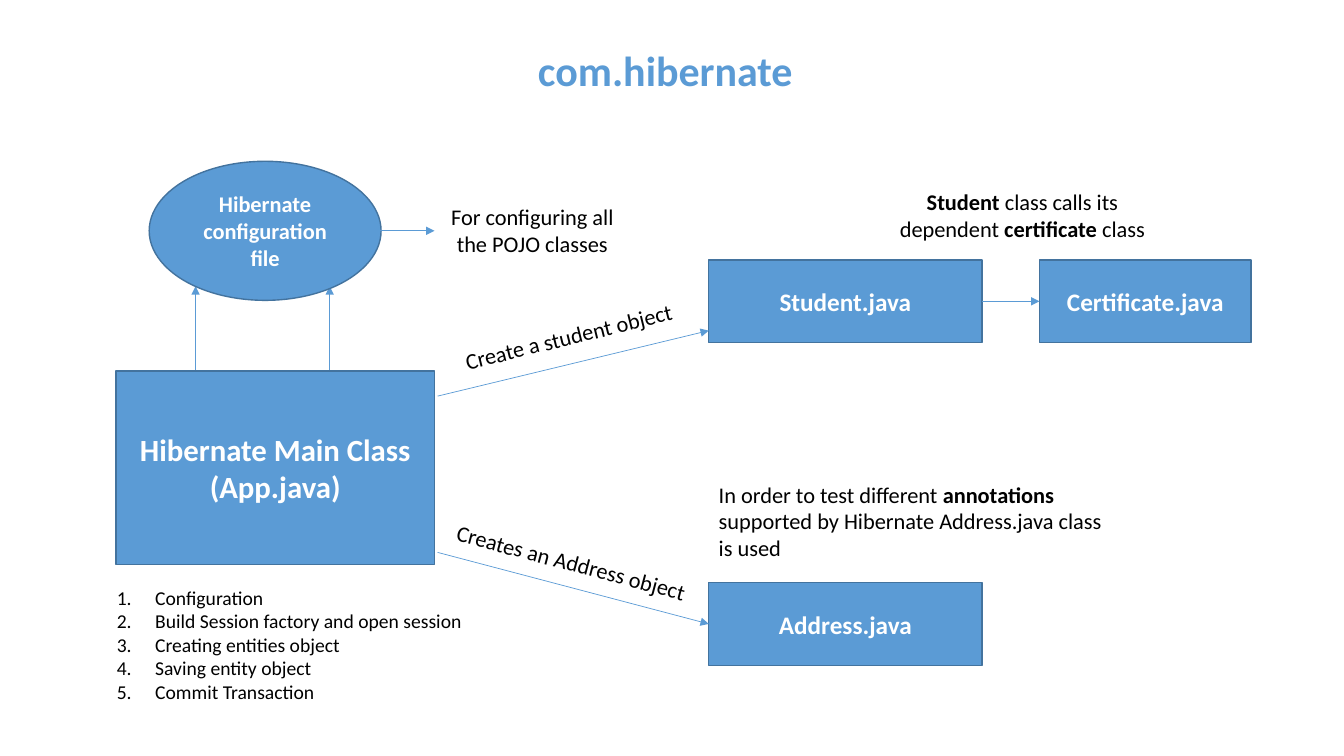
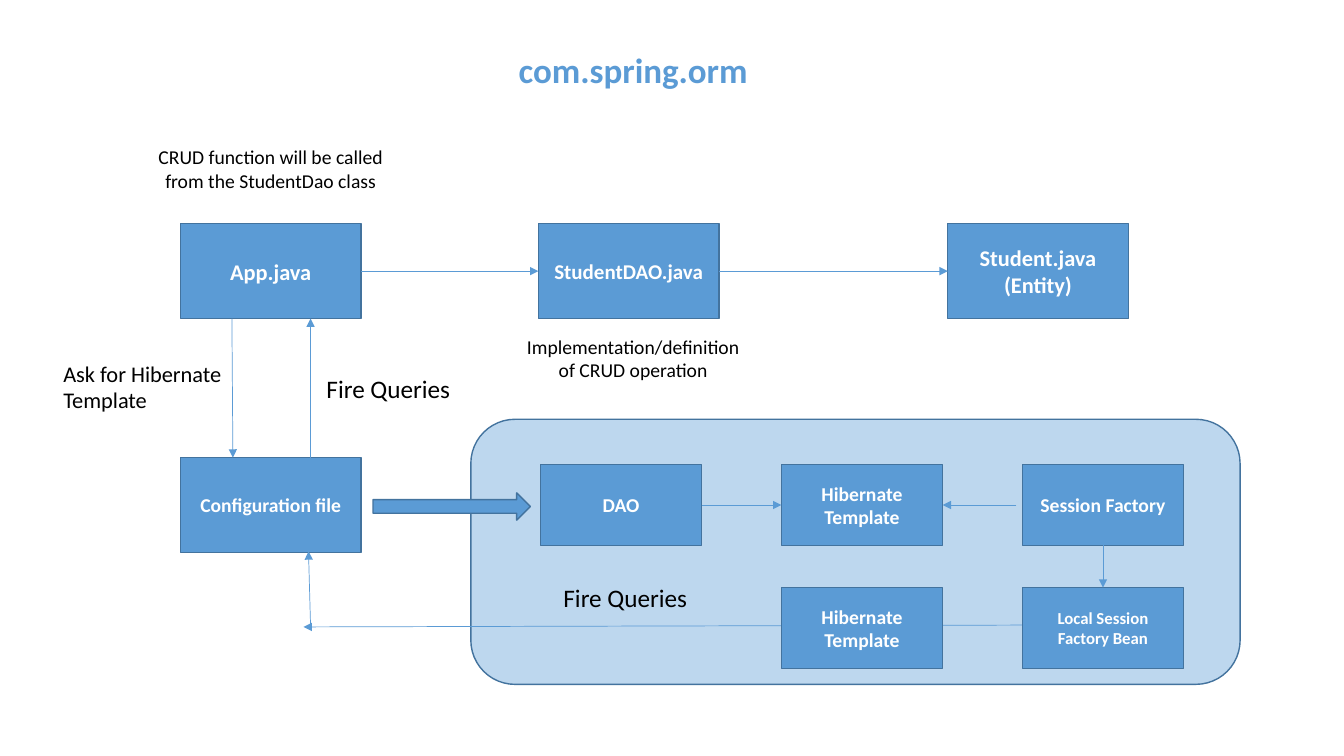
from collections import namedtuple
from dataclasses import dataclass

from lxml.etree import SubElement
from pptx import Presentation
from pptx.dml.color import RGBColor
from pptx.enum.shapes import MSO_CONNECTOR, MSO_SHAPE
from pptx.enum.text import MSO_ANCHOR, MSO_AUTO_SIZE, PP_ALIGN
from pptx.oxml.ns import qn
from pptx.util import Inches, Pt

BLUE = RGBColor(0x5B, 0x9B, 0xD5)
DARK_BLUE = RGBColor(0x43, 0x73, 0x9E)
PALE_BLUE = RGBColor(0xBD, 0xD7, 0xEE)
WHITE = RGBColor(0xFF, 0xFF, 0xFF)
BLACK = RGBColor(0x00, 0x00, 0x00)
FONT = "Calibri"
CELL = Inches(0.1)
TOP, LEFT, BOTTOM, RIGHT = range(4)

Joint = namedtuple("Joint", "shape side")
Point = namedtuple("Point", "x y")


@dataclass
class Box:
    """A rectangle measured in grid cells of a tenth of an inch."""

    left: float
    top: float
    width: float
    height: float

    def inner(self, left, top, width, height):
        """Return a box placed relative to this one."""
        return Box(self.left + left, self.top + top, width, height)

    def point(self, x, y):
        """Return a point placed relative to this box."""
        return Point(round((self.left + x) * CELL), round((self.top + y) * CELL))

    def frame(self):
        """Return left, top, width and height as lengths."""
        return [round(cells * CELL) for cells in (self.left, self.top, self.width, self.height)]


def style_font(paragraph, size, color, bold=None):
    """Set the font of a whole paragraph."""
    font = paragraph.font
    font.name, font.size, font.bold = FONT, Pt(size), bold
    font.color.rgb = color


def add_title(slide, text, size, box):
    """Place and format the title placeholder."""
    title = slide.shapes.title
    title.left, title.top, title.width, title.height = box.frame()
    frame = title.text_frame
    frame.text = text
    frame.auto_size = MSO_AUTO_SIZE.NONE
    frame.vertical_anchor = MSO_ANCHOR.MIDDLE
    paragraph = frame.paragraphs[0]
    paragraph.alignment = PP_ALIGN.CENTER
    paragraph.line_spacing = 0.9
    style_font(paragraph, size, BLUE, True)


def add_node(slide, box, text="", size=14, kind=MSO_SHAPE.RECTANGLE, fill=BLUE):
    """Add an outlined shape with centred bold text."""
    shape = slide.shapes.add_shape(kind, *box.frame())
    shape.shadow.inherit = False
    shape.fill.solid()
    shape.fill.fore_color.rgb = fill
    shape.line.color.rgb = DARK_BLUE
    shape.line.width = Pt(1)
    if text:
        frame = shape.text_frame
        frame.text = text
        frame.word_wrap = True
        frame.vertical_anchor = MSO_ANCHOR.MIDDLE
        for paragraph in frame.paragraphs:
            paragraph.alignment = PP_ALIGN.CENTER
            style_font(paragraph, size, WHITE, True)
    return shape


def add_note(slide, box, runs, size=16, align=PP_ALIGN.LEFT, wrap=True, rotation=0):
    """Add a one-paragraph text box from (text, bold) runs."""
    shape = slide.shapes.add_textbox(*box.frame())
    shape.rotation = rotation
    frame = shape.text_frame
    frame.word_wrap = wrap
    frame.auto_size = MSO_AUTO_SIZE.SHAPE_TO_FIT_TEXT
    paragraph = frame.paragraphs[0]
    paragraph.alignment = align
    style_font(paragraph, size, BLACK)
    for text, bold in runs:
        run = paragraph.add_run()
        run.text = text
        if bold:
            run.font.bold = True


def add_numbered_list(slide, box, items, size):
    """Add a text box with automatic numbers."""
    frame = slide.shapes.add_textbox(*box.frame()).text_frame
    frame.word_wrap = False
    frame.auto_size = MSO_AUTO_SIZE.SHAPE_TO_FIT_TEXT
    frame.text = "\n".join(items)
    for paragraph in frame.paragraphs:
        properties = paragraph._p.get_or_add_pPr()
        properties.set("marL", str(Inches(0.38)))
        properties.set("indent", str(-Inches(0.38)))
        SubElement(properties, qn("a:buFont"), typeface="+mj-lt")
        SubElement(properties, qn("a:buAutoNum"), type="arabicPeriod")
        style_font(paragraph, size, BLACK)


def add_arrow(slide, begin, end):
    """Draw a thin arrow between points or joints."""
    start = begin if isinstance(begin, Point) else Point(0, 0)
    finish = end if isinstance(end, Point) else Point(0, 0)
    connector = slide.shapes.add_connector(MSO_CONNECTOR.STRAIGHT, *start, *finish)
    if isinstance(begin, Joint):
        connector.begin_connect(*begin)
    if isinstance(end, Joint):
        connector.end_connect(*end)
    connector.line.color.rgb = BLUE
    connector.line.width = Pt(0.5)
    SubElement(connector.line._get_or_add_ln(), qn("a:tailEnd"), type="triangle")
    SubElement(connector._element.spPr, qn("a:effectLst"))


def add_main_class(slide, box):
    """Show the main class, its configuration file and its steps."""
    for x in (8.8, 22.1):
        add_arrow(slide, box.point(x, 20.8), box.point(x, 12.4))
    add_node(slide, box.inner(4.2, 0, 23, 13.8), "Hibernate configuration file", 16, MSO_SHAPE.OVAL)
    add_node(slide, box.inner(0.9, 20.8, 31.6, 19.2), "Hibernate Main Class (App.java)", 22)
    add_arrow(slide, box.point(27.1, 6.9), box.point(32.5, 6.9))
    add_note(slide, box.inner(32.5, 3.7, 19.4, 6.4),
             [("For configuring all the POJO classes", False)], align=PP_ALIGN.CENTER)
    steps = ["Configuration", "Build Session factory and open session",
             "Creating entities object", "Saving entity object", "Commit Transaction"]
    add_numbered_list(slide, box.inner(0, 41.6, 36.5, 12.8), steps, 14)


def add_entities(slide, box):
    """Show the entity classes and return the address node."""
    student = add_node(slide, box.inner(0, 7.6, 27.1, 8.2), "Student.java", 18)
    certificate = add_node(slide, box.inner(32.8, 7.6, 21, 8.2), "Certificate.java", 18)
    address = add_node(slide, box.inner(0, 39.6, 27.1, 8.2), "Address.java", 18)
    add_arrow(slide, Joint(student, RIGHT), Joint(certificate, LEFT))
    add_note(slide, box.inner(17.2, 0, 27.8, 6.4),
             [("Student", True), (" class calls its dependent ", False),
              ("certificate", True), (" class", False)], align=PP_ALIGN.CENTER)
    add_note(slide, box.inner(0, 29, 40.4, 9.1),
             [("In order to test different ", False), ("annotations", True),
              (" supported by Hibernate Address.java class is used", False)])
    return address


def add_object_calls(slide, box, address):
    """Draw the labelled arrows from the main class to the entities."""
    add_arrow(slide, box.point(0, 7.8), box.point(box.width, 1.3))
    add_arrow(slide, box.point(0, 23.3), Joint(address, LEFT))
    add_note(slide, box.inner(1.5, 0, 23.3, 3.7),
             [("Create a student object", False)], wrap=False, rotation=-13.9)
    add_note(slide, box.inner(0.6, 22.5, 25.7, 3.7),
             [("Creates an Address object", False)], wrap=False, rotation=14.9)


def add_class_row(slide, box):
    """Show the chain of classes with its two notes."""
    classes = [(4.6, "App.java", 16), (40.1, "StudentDAO.java", 15),
               (80.7, "Student.java\n(Entity)", 16)]
    nodes = [add_node(slide, box.inner(x, 8.3, 17.9, 9.4), text, size) for x, text, size in classes]
    for node, following in zip(nodes, nodes[1:]):
        add_arrow(slide, Joint(node, RIGHT), Joint(following, LEFT))
    add_note(slide, box.inner(0, 0, 27.1, 5.7),
             [("CRUD function will be called from the StudentDao class", False)],
             14, PP_ALIGN.CENTER)
    add_note(slide, box.inner(37.7, 18.8, 23.6, 5.7),
             [("Implementation/definition of CRUD operation", False)], 14, PP_ALIGN.CENTER)


def add_template_panel(slide, box):
    """Show how the template is built inside a rounded panel."""
    add_node(slide, box, kind=MSO_SHAPE.ROUNDED_RECTANGLE, fill=PALE_BLUE)
    add_arrow(slide, box.point(59.2, 20.4), box.point(-16.6, 20.6))

    def place(column, row, text, size=14):
        """Add a node in a cell of the panel grid."""
        cell = box.inner(6.9 + 23.9 * column, 4.5 + 12.2 * row, 16, 8)
        return add_node(slide, cell, text, size)

    dao = place(0, 0, "DAO")
    template = place(1, 0, "Hibernate Template")
    factory = place(2, 0, "Session Factory")
    place(1, 1, "Hibernate Template")
    bean = place(2, 1, "Local Session Factory Bean", 12)
    add_arrow(slide, Joint(dao, RIGHT), Joint(template, LEFT))
    add_arrow(slide, box.point(54.1, 8.5), Joint(template, RIGHT))
    add_arrow(slide, Joint(factory, BOTTOM), Joint(bean, TOP))
    add_note(slide, box.inner(8.2, 15.7, 14.4, 4), [("Fire Queries", False)], 18, wrap=False)


def add_configuration(slide, box):
    """Show the configuration file and its exchanges."""
    add_node(slide, box.inner(12.6, 13.8, 17.9, 9.4), "Configuration file")
    add_node(slide, box.inner(31.7, 17.3, 15.6, 2.7), kind=MSO_SHAPE.RIGHT_ARROW)
    add_arrow(slide, box.point(17.7, 0), box.point(17.8, 13.8))
    add_arrow(slide, box.point(25.5, 13.8), box.point(25.5, 0))
    add_arrow(slide, box.point(25.5, 30.4), box.point(25.3, 23.1))
    add_note(slide, box.inner(0, 3.6, 20.4, 6.4), [("Ask for Hibernate Template", False)])
    add_note(slide, box.inner(26.1, 4.9, 14.4, 4), [("Fire Queries", False)], 18, wrap=False)


def build_hibernate_slide(slide):
    """Lay out the slide on the Hibernate package."""
    add_title(slide, "com.hibernate", 30, Box(8.5, 0, 115, 14.5))
    add_main_class(slide, Box(10.6, 16, 51.9, 54.4))
    address = add_entities(slide, Box(70.3, 18.2, 53.8, 47.8))
    add_object_calls(slide, Box(43.4, 31.5, 26.9, 30.4), address)


def build_spring_slide(slide):
    """Lay out the slide on the Spring ORM package."""
    add_title(slide, "com.spring.orm", 25, Box(5.3, -0.1, 115, 14.5))
    add_class_row(slide, Box(13.3, 13.9, 98.6, 24.5))
    add_template_panel(slide, Box(46.7, 41.6, 76.3, 26.3))
    add_configuration(slide, Box(5.3, 31.6, 47.3, 30.6))


def main():
    """Build and save the presentation."""
    presentation = Presentation()
    presentation.slide_width = Inches(13.33)
    presentation.slide_height = Inches(7.5)
    title_only = presentation.slide_layouts[5]
    for build in (build_hibernate_slide, build_spring_slide):
        build(presentation.slides.add_slide(title_only))
    presentation.save("out.pptx")


if __name__ == "__main__":
    main()
